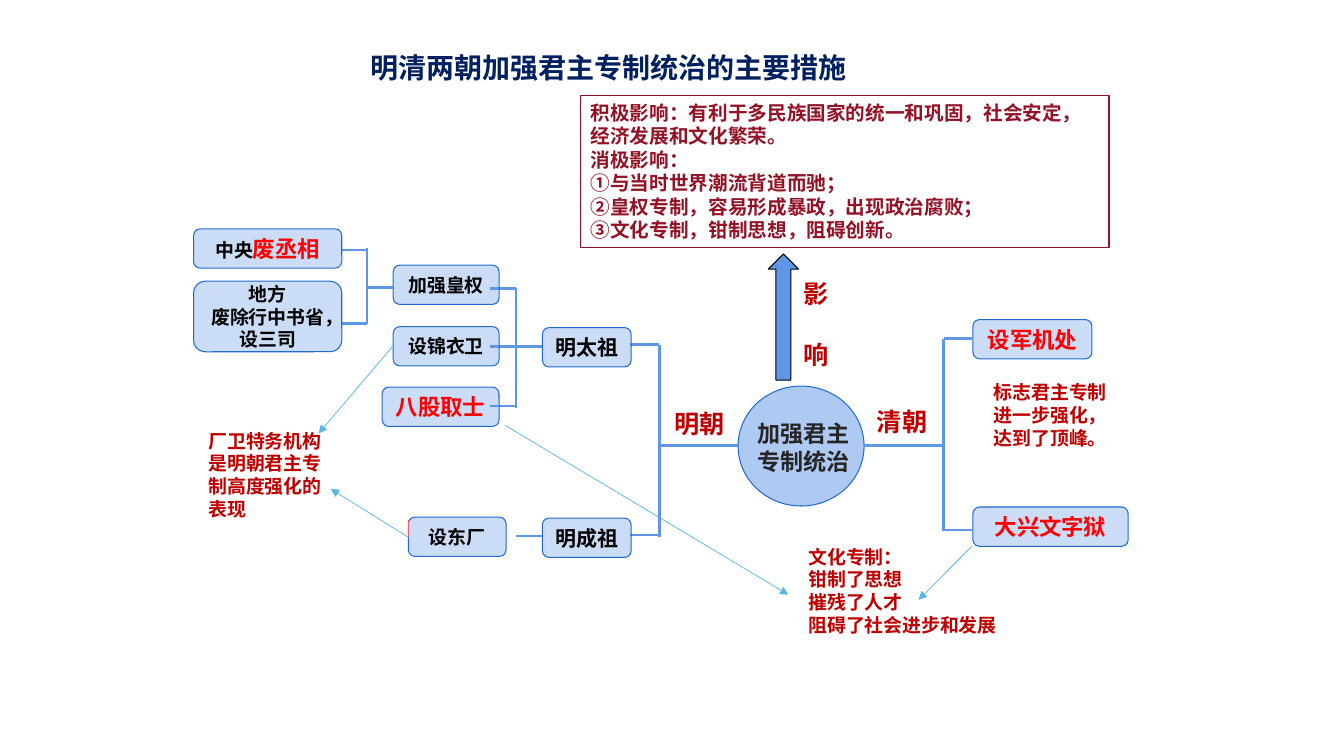
from pptx import Presentation
from pptx.dml.color import RGBColor
from pptx.enum.shapes import MSO_CONNECTOR, MSO_SHAPE
from pptx.enum.text import MSO_ANCHOR, MSO_AUTO_SIZE, PP_ALIGN
from pptx.oxml.ns import qn
from pptx.util import Inches, Pt
from lxml.etree import SubElement

NAVY = RGBColor(0x00, 0x20, 0x60)
BLUE = RGBColor(0x60, 0x96, 0xE6)
EDGE = RGBColor(0x21, 0x69, 0xD3)
SKY = RGBColor(0x58, 0xB6, 0xE5)
PINK = RGBColor(0xEC, 0x5F, 0x74)
RED = RGBColor(0xFF, 0x00, 0x00)
DEEP = RGBColor(0xC0, 0x00, 0x00)
WINE = RGBColor(0x94, 0x12, 0x25)
DARK = RGBColor(0x25, 0x25, 0x26)
BLACK = RGBColor(0x00, 0x00, 0x00)
HAN = "Noto Sans CJK SC"
ARIAL = "Arial"

TITLE = "明清两朝加强君主专制统治的主要措施"
BOXES = [
    ((5.38, 3.25, 0.88, 0.39), [[("明太祖", 15, BLACK)]]),
    ((5.38, 5.14, 0.88, 0.39), [[("明成祖", 15, BLACK)]]),
    ((3.9, 2.63, 1.05, 0.39), [[("加强皇权", 13.5, BLACK)]]),
    ((3.9, 3.24, 1.05, 0.39), [[("设锦衣卫", 13.5, BLACK)]]),
    ((3.79, 3.84, 1.16, 0.39), [[("八股取士", 16, RED)]]),
    ((4.05, 5.13, 0.97, 0.39), [[("设东厂", 13.5, BLACK)]]),
    ((1.92, 2.27, 1.47, 0.39), [[("中央", 13.5, BLACK), ("废丞相", 16, RED)]]),
    ((1.92, 2.79, 1.47, 0.7),
     [[("地方", 13.5, BLACK)], [("废除行中书省，设三司", 13.5, BLACK)]]),
    ((9.65, 3.17, 1.18, 0.39), [[("设军机处", 16, RED)]]),
    ((9.65, 5.03, 1.54, 0.39), [[("大兴文字狱", 16, RED)]]),
]
NOTES = [
    ((7.41, 4.11, 1.28, 0.65), ["加强君主", "专制统治"], 16.5, DARK, HAN),
    ((6.59, 4, 0.74, 0.4), ["明朝"], 18, DEEP, ARIAL),
    ((8.6, 3.98, 0.74, 0.4), ["清朝"], 18, DEEP, ARIAL),
    ((1.97, 4.21, 1.42, 1.01), ["厂卫特务机构是明朝君主专制高度强化的表现"], 13.5, DEEP, HAN),
    ((7.92, 5.36, 2.26, 1.01),
     ["文化专制：", "钳制了思想", "摧残了人才", "阻碍了社会进步和发展"], 13.5, DEEP, HAN),
    ((9.76, 3.73, 1.43, 0.78), ["标志君主专制进一步强化，达到了顶峰。"], 13.5, DEEP, HAN),
]
SIDE = ((7.82, 2.71, 0.55, 0.71), ["影", "响"], 18, DEEP, ARIAL)
EFFECT = ((5.76, 0.95, 5.24, 1.51), [
    "积极影响：有利于多民族国家的统一和巩固，社会安定，经济发展和文化繁荣。",
    "消极影响：",
    "①与当时世界潮流背道而驰；",
    "②皇权专制，容易形成暴政，出现政治腐败；",
    "③文化专制，钳制思想，阻碍创新。",
], 14, WINE, HAN)
SPINES = [
    (6.54, 3.42, 5.33, 6.25, (3.42, 5.31)),
    (5.12, 2.86, 4.05, 4.86, (2.86, 3.44, 4.03)),
    (3.64, 2.46, 3.21, 3.38, (2.48, 3.21)),
    (9.36, 3.36, 5.27, 9.64, (3.36, 5.26)),
]
STEMS = [(5.38, 3.44, 5.12), (5.38, 5.32, 5.12), (3.9, 2.85, 3.64)]
TRUNKS = [(7.32, 4.42, 6.54), (9.36, 4.42, 8.57)]
ARROWS = [
    (3.9, 3.43, 3.16, 4.3),
    (4.05, 5.33, 3.28, 4.85),
    (5.01, 4.22, 7.82, 5.9),
    (9.64, 5.42, 9.11, 5.95),
]

deck = Presentation()
deck.slide_width, deck.slide_height = Inches(13.33), Inches(7.5)
slide = deck.slides.add_slide(deck.slide_layouts[5])
shapes = slide.shapes


def style(run, size, color, face):
    font = run.font
    font.size, font.bold, font.name = Pt(size), True, face
    font.color.rgb = color
    SubElement(run._r.get_or_add_rPr(), qn("a:ea")).set("typeface", HAN)


def line(x1, y1, x2, y2, width=1.75, color=BLUE, arrow=False):
    link = shapes.add_connector(
        MSO_CONNECTOR.STRAIGHT, *map(Inches, (x1, y1, x2, y2)))
    link.line.width = Pt(width)
    link.line.color.rgb = color
    if arrow:
        SubElement(link.line._get_or_add_ln(), qn("a:tailEnd")).set("type", "triangle")
    SubElement(link._element.spPr, qn("a:effectLst"))


def shape(kind, area, edge, fill=None, alpha=100):
    item = shapes.add_shape(kind, *map(Inches, area))
    item.shadow.inherit = False
    item.line.color.rgb = edge
    item.line.width = Pt(0.75)
    if fill is None:
        item.fill.background()
    else:
        item.fill.solid()
        item.fill.fore_color.rgb = fill
        if alpha < 100:
            tint = item._element.spPr.find(qn("a:solidFill"))[0]
            SubElement(tint, qn("a:alpha")).set("val", str(alpha * 1000))
    return item


def write(frame, rows, size, color, face, align=PP_ALIGN.LEFT):
    frame.word_wrap = True
    frame.vertical_anchor = MSO_ANCHOR.TOP
    frame.text = "\n".join(rows)
    for para in frame.paragraphs:
        para.alignment = align
        for run in para.runs:
            style(run, size, color, face)


def note(area, *rest):
    frame = shapes.add_textbox(*map(Inches, area)).text_frame
    write(frame, *rest)
    return frame


def box(area, rows):
    frame = shape(MSO_SHAPE.ROUNDED_RECTANGLE, area, EDGE, BLUE, 33).text_frame
    frame.word_wrap = True
    frame.vertical_anchor = MSO_ANCHOR.MIDDLE
    for i, row in enumerate(rows):
        para = frame.add_paragraph() if i else frame.paragraphs[0]
        para.alignment = PP_ALIGN.CENTER
        for text, size, color in row:
            run = para.add_run()
            run.text = text
            style(run, size, color, ARIAL)


title = shapes.title
title.left, title.top, title.width, title.height = map(Inches, (3.57, 0.35, 5.12, 0.54))
write(title.text_frame, [TITLE], 20, NAVY, HAN)
title.text_frame.auto_size = MSO_AUTO_SIZE.NONE
head = title.text_frame.paragraphs[0]
head.line_spacing, head.space_after = 1.3, Pt(10)

shape(MSO_SHAPE.OVAL, (7.32, 3.83, 1.25, 1.19), EDGE, BLUE, 50)
for x, top, end, tip, rows in SPINES:
    line(x, top, x, end)
    for y in rows:
        line(x, y, tip, y)
for x, y, tip in STEMS:
    line(x, y, tip, y)
for x, y, tip in TRUNKS:
    line(x, y, tip, y, 2.25)
for item in BOXES:
    box(*item)
for ends in ARROWS:
    line(*ends, 0.5, SKY, True)
line(4.05, 5.33, 4.05, 5.16, 0.5, PINK)
for item in NOTES:
    note(*item)
side = note(*SIDE, PP_ALIGN.CENTER)
side.paragraphs[1].space_before = Pt(22)
area, *rest = EFFECT
write(shape(MSO_SHAPE.RECTANGLE, area, WINE).text_frame, *rest)
arrow = shape(MSO_SHAPE.UP_ARROW, (7.62, 2.52, 0.3, 1.25), BLACK, BLUE)
arrow.adjustments[0], arrow.adjustments[1] = 0.5, 0.5
deck.save("out.pptx")
